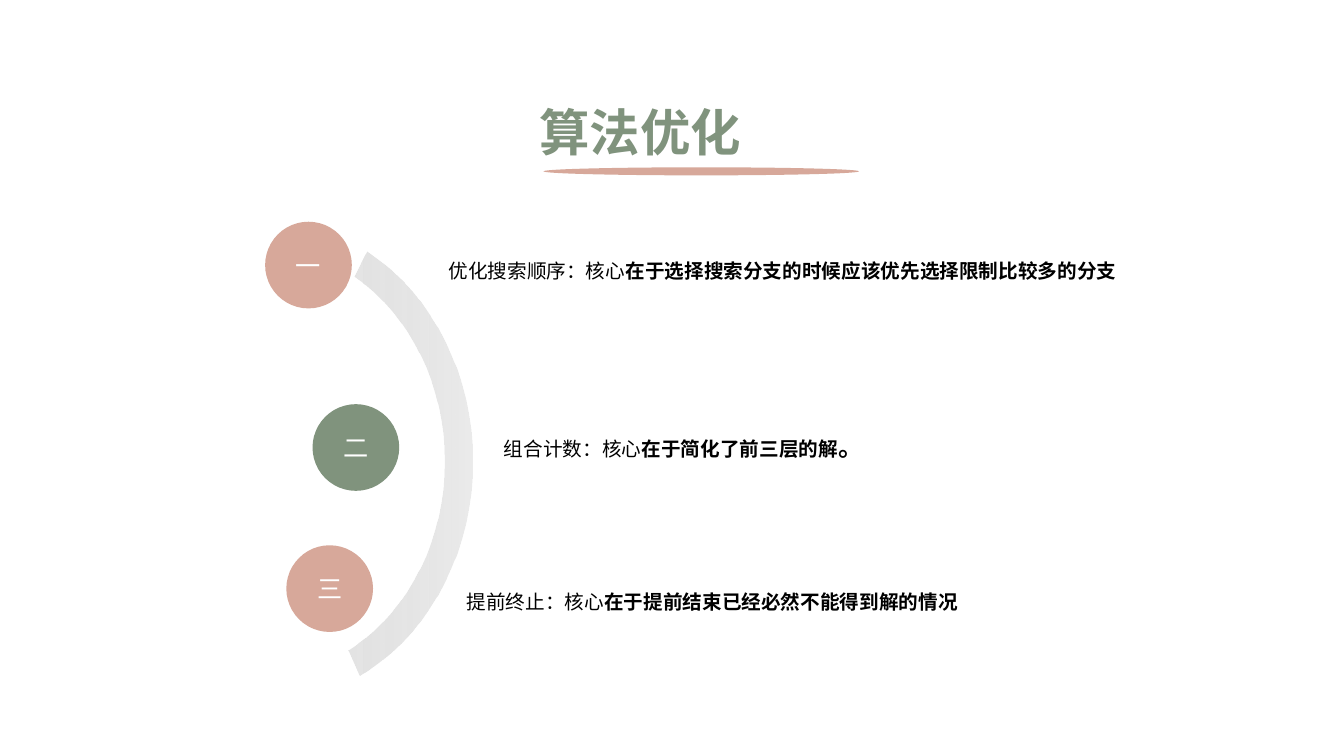
from lxml.etree import SubElement
from pptx import Presentation
from pptx.dml.color import RGBColor
from pptx.enum.shapes import MSO_SHAPE as Shape
from pptx.enum.text import MSO_ANCHOR as Anchor, MSO_AUTO_SIZE as AutoSize, PP_ALIGN as Align
from pptx.oxml.ns import qn
from pptx.util import Inches, Pt

FONT = "Noto Sans CJK SC"
COLORS = {"rose": "D7A89A", "green": "80937D", "gray": "D9D9D9",
          "white": "FFFFFF", "black": "000000"}
CIRCLE_SIZE = 0.86

# numeral, circle colour, circle place, text place, runs of (text, format)
STEPS = [
    ("一", "rose", (2.63, 2.2), (4.35, 2.4, 6.85, 0.41),
     [("优化搜索顺序：核心", {}),
      ("在于选择搜索分支的时候应该优先选择限制比较多的分支", {"bold": True})]),
    ("二", "green", (3.1, 4.01), (4.9, 4.08, 6.67, 0.5),
     [("组合计数：核心", {}),
      ("在于简化了前三层的解", {"bold": True}),
      ("。", {"bold": True, "size": Pt(18)})]),
    ("三", "rose", (2.84, 5.41), (4.53, 5.69, 6.67, 0.41),
     [("提前终止：核心", {}),
      ("在于提前结束已经必然不能得到解的情况", {"bold": True})]),
]


def rgb(name):
    return RGBColor.from_string(COLORS[name])


def add_span(para, text, color, **values):
    span = para.add_run()
    span.text = text
    span.font.color.rgb = rgb(color)
    for name, value in {"name": FONT, **values}.items():
        setattr(span.font, name, value)
    SubElement(span.font._element, qn("a:ea"), typeface=FONT)


def format_frame(frame, **values):
    for name, value in {"word_wrap": True, **values}.items():
        setattr(frame, name, value)
    return frame.paragraphs[0]


def add_plain_shape(page, kind, place):
    """Add a preset shape without line or shadow."""
    shape = page.shapes.add_shape(kind, *map(Inches, place))
    shape.shadow.inherit = False
    shape.line.fill.background()
    return shape


def add_ellipse(page, place, color):
    ellipse = add_plain_shape(page, Shape.OVAL, place)
    ellipse.fill.solid()
    ellipse.fill.fore_color.rgb = rgb(color)
    return ellipse


def add_title(page, text, place):
    title = page.shapes.title
    title.left, title.top, title.width, title.height = map(Inches, place)
    para = format_frame(title.text_frame, vertical_anchor=Anchor.TOP,
                        auto_size=AutoSize.SHAPE_TO_FIT_TEXT)
    para.alignment = Align.JUSTIFY
    add_span(para, text, "green", size=Pt(36), bold=True)


def add_arc(page, place):
    """Add the faded arc that opens to the left."""
    arc = add_plain_shape(page, Shape.BLOCK_ARC, place)
    arc.rotation = 90
    for index, value in enumerate((123.574, 201.632, 0.068)):
        arc.adjustments[index] = value
    arc.fill.gradient()
    arc.fill.gradient_angle = 270
    for stop, color in zip(arc.fill.gradient_stops, ("gray", "white")):
        stop.color.rgb = rgb(color)
    gray = arc._element.spPr.find(".//" + qn("a:srgbClr"))
    SubElement(gray, qn("a:alpha"), val="51000")


def add_circle(page, numeral, color, corner):
    circle = add_ellipse(page, (*corner, CIRCLE_SIZE, CIRCLE_SIZE), color)
    para = format_frame(circle.text_frame, vertical_anchor=Anchor.MIDDLE)
    para.alignment = Align.CENTER
    add_span(para, numeral, "white", size=Pt(18))


def add_step_text(page, place, spans):
    box = page.shapes.add_textbox(*map(Inches, place))
    para = format_frame(box.text_frame, auto_size=AutoSize.SHAPE_TO_FIT_TEXT)
    para.line_spacing = 1.5
    for text, values in spans:
        add_span(para, text, "black", **{"size": Pt(14), **values})


def main():
    deck = Presentation()
    deck.slide_width, deck.slide_height = Inches(13.33), Inches(7.5)
    page = deck.slides.add_slide(deck.slide_layouts.get_by_name("Title Only"))
    add_ellipse(page, (5.39, 1.66, 3.13, 0.08), "rose")
    add_title(page, "算法优化", (5.25, 0.95, 3.39, 0.71))
    add_arc(page, (0.24, 2.52, 4.78, 4.12))
    for numeral, color, corner, place, spans in STEPS:
        add_circle(page, numeral, color, corner)
        add_step_text(page, place, spans)
    deck.save("out.pptx")


if __name__ == "__main__":
    main()
